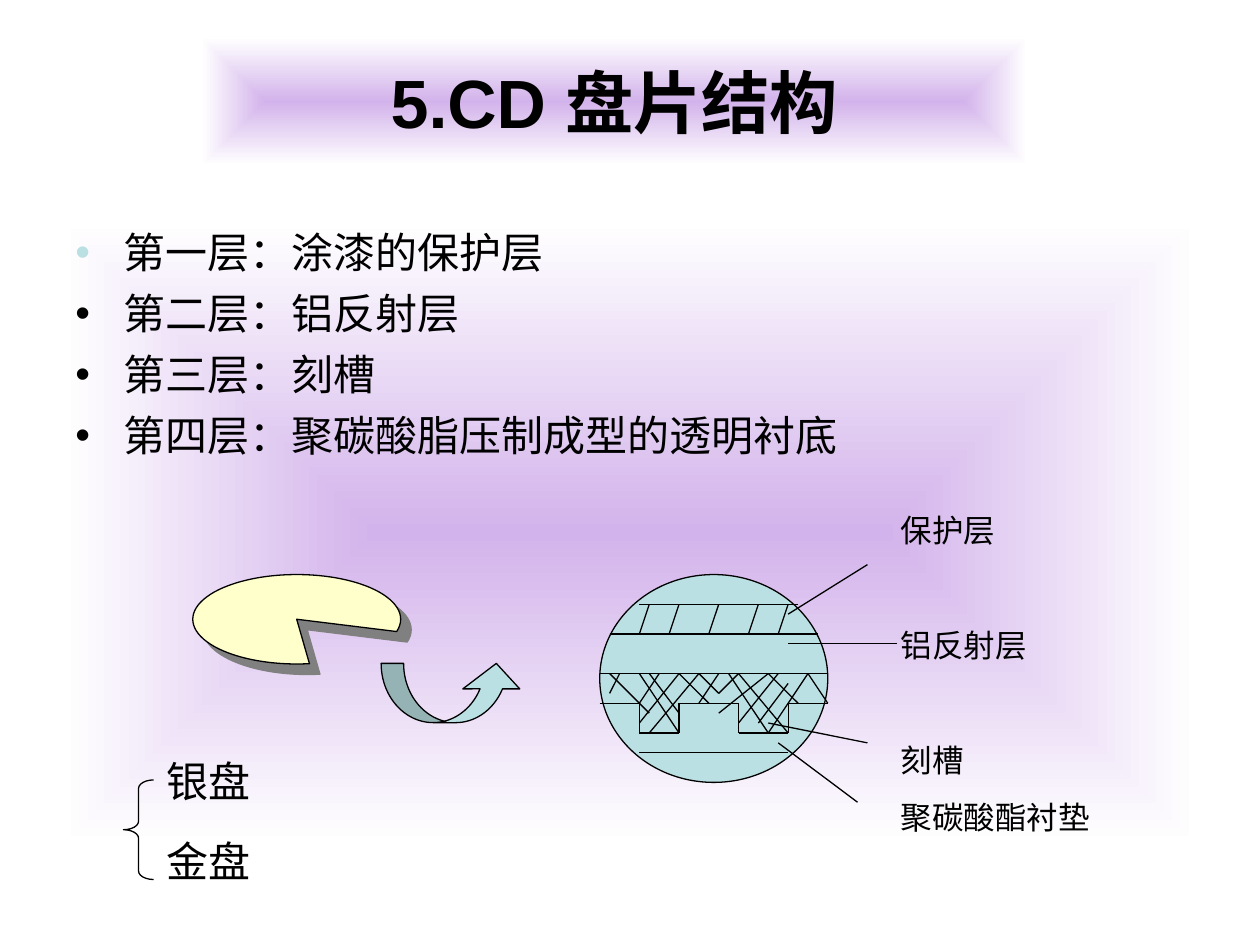
from dataclasses import dataclass
from lxml.etree import SubElement as Sub
from pptx import Presentation
from pptx.dml.color import RGBColor as RGB
from pptx.enum.shapes import MSO_CONNECTOR as Link, MSO_SHAPE as Kind
from pptx.enum.text import MSO_ANCHOR as Anchor, PP_ALIGN as Align
from pptx.oxml.ns import qn
from pptx.util import Inches, Pt


@dataclass(frozen=True)
class Theme:
    ink: RGB = RGB(0, 0, 0)
    lilac: RGB = RGB(0xD3, 0xB3, 0xEB)
    white: RGB = RGB(255, 255, 255)
    aqua: RGB = RGB(0xBB, 0xE0, 0xE3)
    cream: RGB = RGB(0xFF, 0xFF, 0xCC)
    shade: RGB = RGB(0x80, 0x80, 0x80)
    sans: str = "Arial"
    alt: str = "Cabin"
    head: float = 39
    body: float = 24
    note: float = 18
    line: float = 0.75


@dataclass(frozen=True)
class Box:
    x: float
    y: float
    w: float
    h: float

    def emu(self) -> list:
        return [Inches(v) for v in (self.x, self.y, self.w, self.h)]


@dataclass(frozen=True)
class Seg:
    """A line between two points, in disc grid steps."""
    x1: float
    y1: float
    x2: float
    y2: float


T = Theme()
DISC = Box(4.76, 4.56, 1.81, 1.65)
COLS, ROWS = 23, 21


def add_text(slide, box: Box, lines: list, size: float, font: str = T.sans):
    shape = slide.shapes.add_textbox(*box.emu())
    frame = shape.text_frame
    frame.word_wrap = True
    frame.text = "\n".join(lines)
    for para in frame.paragraphs:
        for run in para.runs:
            run.font.name, run.font.size = font, Pt(size)
            run.font.color.rgb = T.ink
    return shape


def glow(shape) -> None:
    """Fill with lilac in the centre, fading to white at the edges."""
    shape.fill.gradient()
    for stop, tone in zip(shape.fill.gradient_stops, (T.lilac, T.white)):
        stop.color.rgb = tone
    grad = shape._element.spPr.find(qn("a:gradFill"))
    grad.remove(grad.find(qn("a:lin")))
    ring = Sub(grad, qn("a:path"), path="rect")
    Sub(ring, qn("a:fillToRect"), l="50000", t="50000", r="50000", b="50000")


def bullet(para, tone: RGB) -> None:
    props = para._p.get_or_add_pPr()
    props.set("marL", str(Inches(0.38)))
    props.set("indent", str(-Inches(0.38)))
    mark = Sub(props, qn("a:buClr"))
    Sub(mark, qn("a:srgbClr"), val=str(tone))
    Sub(props, qn("a:buFont"), typeface=T.sans)
    Sub(props, qn("a:buChar"), char="•")


def add_form(slide, kind: Kind, box: Box, tone=None, adjust: tuple = ()):
    shape = slide.shapes.add_shape(kind, *box.emu())
    shape.shadow.inherit = False
    if tone is None:
        shape.fill.background()
    else:
        shape.fill.solid()
        shape.fill.fore_color.rgb = tone
    shape.line.color.rgb, shape.line.width = T.ink, Pt(T.line)
    for i, value in enumerate(adjust):
        shape.adjustments[i] = value
    return shape


def drop(shape) -> None:
    """Cast a hard shadow down to the right."""
    effects = shape._element.spPr.find(qn("a:effectLst"))
    cast = Sub(effects, qn("a:outerShdw"), dist=str(Pt(8.5)),
               dir=str(45 * 60000), algn="ctr", rotWithShape="0")
    Sub(cast, qn("a:srgbClr"), val=str(T.shade))


def add_line(slide, seg: Seg) -> None:
    def spot(col: float, row: float) -> tuple:
        return (Inches(DISC.x + col * DISC.w / COLS),
                Inches(DISC.y + row * DISC.h / ROWS))

    line = slide.shapes.add_connector(
        Link.STRAIGHT, *spot(seg.x1, seg.y1), *spot(seg.x2, seg.y2))
    line.line.color.rgb, line.line.width = T.ink, Pt(T.line)
    Sub(line._element.spPr, qn("a:effectLst"))


def disc_lines() -> list:
    # Layer edges
    edges = [Seg(4, 3, 20, 3), Seg(1, 6, 22, 6), Seg(0, 10, 23, 10),
             Seg(4, 18, 19, 18)]
    # Groove profile
    path = [(0, 13), (4, 13), (4, 16), (8, 16), (8, 13), (14, 13),
            (14, 16), (19, 16), (19, 13), (23, 13)]
    groove = [Seg(*a, *b) for a, b in zip(path, path[1:])]
    # Hatching of the protective layer
    slants = [Seg(x, 3, x - 1, 6) for x in (5, 8, 12, 16, 19)]
    # Hatching of the grooves: top column, then end point
    ends = [(2, 1, 12), (6, 4, 13), (10, 5, 16), (14, 12, 12), (18, 14, 15),
            (21, 17, 16), (1, 5, 14), (5, 8, 14), (10, 12, 12), (14, 19, 16),
            (17, 20, 13), (21, 23, 13), (8, 11, 13), (13, 17, 16),
            (4, 8, 16), (8, 4, 15), (17, 12, 14), (12, 10, 13)]
    hatch = [Seg(top, 10, x, y) for top, x, y in ends]
    hatch.append(Seg(19, 11, 16, 15))
    # Leaders to the labels
    leads = [Seg(19, 4, 27, -1), Seg(19, 7, 30, 7), Seg(17, 15, 27, 17),
             Seg(18, 17, 26, 23)]
    return edges + groove + slants + hatch + leads


def main() -> None:
    deck = Presentation()
    deck.slide_width, deck.slide_height = Inches(10), Inches(7.5)
    slide = deck.slides.add_slide(deck.slide_layouts[6])

    # Title
    title = add_text(slide, Box(1.6, 0.3, 6.55, 1.01), ["5.CD 盘片结构"], T.head)
    glow(title)
    title.text_frame.vertical_anchor = Anchor.MIDDLE
    para = title.text_frame.paragraphs[0]
    para.alignment = Align.CENTER
    para.runs[0].font.bold = True

    # Layer list
    body = add_text(slide, Box(0.5, 1.75, 9, 4.95), [
        "第一层：涂漆的保护层", "第二层：铝反射层", "第三层：刻槽",
        "第四层：聚碳酸脂压制成型的透明衬底"], T.body)
    glow(body)
    for i, para in enumerate(body.text_frame.paragraphs):
        para.alignment = Align.JUSTIFY
        para.space_before = Pt(6 if i else 0)
        bullet(para, T.ink if i else T.aqua)

    # Cut disc and arrow
    drop(add_form(slide, Kind.PIE, Box(1.53, 4.56, 1.65, 0.71), T.cream,
                  (74 * 0.6, 7 * 0.6)))
    arrow = add_form(slide, Kind.CURVED_RIGHT_ARROW,
                     Box(3.36, 4.93, 0.47, 1.14), T.aqua, (0.38, 0.96, 0.43))
    arrow.rotation = 270

    # Cross-section
    add_form(slide, Kind.OVAL, DISC, T.aqua)
    for seg in disc_lines():
        add_line(slide, seg)

    # Labels
    notes = add_text(slide, Box(7.05, 4.01, 1.81, 2.68),
                     ["保护层", "铝反射层", "刻槽", "聚碳酸酯衬垫"], T.note)
    for para, gap in zip(notes.text_frame.paragraphs, (0, 44, 44, 11.2)):
        para.space_before = Pt(gap)

    # Disc types
    for y, name in ((5.95, "银盘"), (6.58, "金盘")):
        add_text(slide, Box(1.22, y, 0.95, 0.5), [name], T.body, T.alt)
    add_form(slide, Kind.LEFT_BRACE, Box(0.98, 6.19, 0.24, 0.79),
             adjust=(0.28, 0.5))

    deck.save("out.pptx")


if __name__ == "__main__":
    main()
